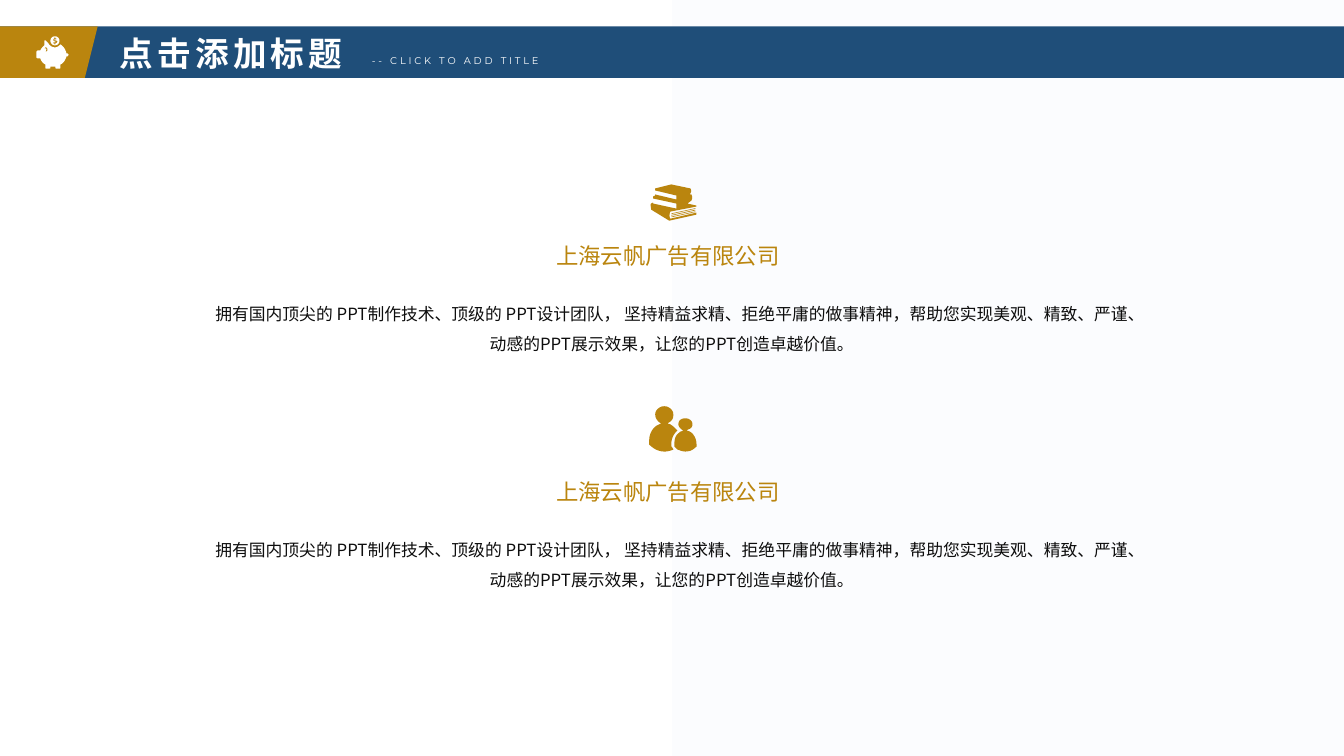
from pptx import Presentation
from pptx.dml.color import RGBColor
from pptx.enum import shapes, text
from pptx.oxml.ns import qn
from pptx.util import Pt

NAVY = RGBColor(0x1F, 0x4E, 0x79)
GOLD = RGBColor(0xBA, 0x85, 0x0E)
WHITE = RGBColor(0xFF, 0xFF, 0xFF)
MIST = RGBColor(0xFB, 0xFC, 0xFE)
INK = RGBColor(0x0D, 0x0D, 0x0D)
CHINESE, LATIN = "Noto Sans CJK SC", "Montserrat"
ICON_UNIT = 0.72  # points per icon grid step
CURVE_STEPS = 6

# Icon outlines: a start point, then corners (x, y) or Bezier curves (six numbers)
PIG = [
    [(67, 53), (66, 53), (65, 49, 63, 46, 60, 44), (58, 46, 57, 47, 54, 47),
     (52, 47, 49, 45, 48, 43), (45, 40), (45, 40, 44, 40, 44, 41), (44, 45),
     (42, 47, 41, 48, 40, 50), (38, 50), (37, 50, 36, 51, 36, 52), (36, 57),
     (36, 57, 37, 58, 38, 58), (40, 58), (41, 61, 43, 63, 45, 64), (45, 67),
     (45, 68, 45, 68, 46, 68), (49, 68), (50, 68, 50, 68, 50, 67), (50, 66),
     (51, 66, 54, 66, 55, 66), (55, 67), (55, 68, 55, 68, 56, 68), (59, 68),
     (60, 68, 60, 68, 60, 67), (60, 64), (63, 63, 65, 59, 66, 56), (67, 56),
     (67, 56, 68, 55, 68, 54), (68, 54, 67, 53, 67, 53)],
    [(45, 51), (44, 51, 44, 51, 44, 50), (44, 50, 44, 51, 45, 51),
     (45, 51, 46, 50, 46, 49), (46, 48, 45, 48, 45, 48), (44, 48), (45, 47),
     (47, 47, 47, 48, 47, 49), (47, 51, 47, 51, 45, 51)],
]
COIN = [
    [(54.5, 36), (52, 36, 50, 38, 50, 40.5), (50, 43, 52, 45, 54.5, 45),
     (57, 45, 59, 43, 59, 40.5), (59, 38, 57, 36, 54.5, 36)],
    [(55, 43), (55, 44), (54, 44), (54, 43), (52.5, 43), (53, 42),
     (53, 42, 54, 42, 54, 42), (55, 42), (55, 41, 55, 41, 54, 41),
     (53, 41, 53, 40, 53, 40), (53, 39, 53, 38, 54, 38), (54, 37), (55, 37),
     (55, 38), (56, 38), (56, 39), (55, 39), (54, 39, 54, 39, 54, 40),
     (54, 40, 54, 40, 55, 40), (56, 40, 57, 41, 57, 41),
     (57, 42, 56, 43, 55, 43)],
]
BOOKS = [
    [(691, 205), (665, 210), (664, 213, 664, 215, 665, 217), (691, 211),
     (691, 213), (664, 219), (646, 208), (646, 206, 645, 203, 646, 202),
     (648, 201), (648, 202), (671, 207), (671, 202), (648, 197), (648, 195),
     (650, 194), (650, 193), (671, 198), (671, 194), (650, 189), (650, 187),
     (666, 183), (685, 187), (686, 189, 686, 190, 685, 192), (684, 193),
     (686, 193), (687, 195, 687, 197, 686, 199), (682, 202), (691, 204)],
] + [
    [(666, y), (666, y + 0.6), (690, y - 4.6), (690, y - 5.2)]
    for y in (215, 213.4, 211.8)
]
ADULT = [
    [(667, 444), (666, 443), (666, 442, 666, 441, 666, 441),
     (666, 435, 668, 431, 672, 427), (670, 425, 667, 422, 665, 421), (662, 420),
     (664, 419), (667, 417, 668, 415, 668, 411), (668, 407, 664, 403, 659, 403),
     (654, 403, 650, 407, 650, 411), (650, 415, 652, 417, 654, 419), (656, 420),
     (654, 421), (648, 423, 644, 430, 644, 437), (644, 438, 644, 440, 644, 441),
     (648, 445, 653, 448, 659, 448), (662, 448, 666, 447, 668, 446),
     (668, 445, 667, 445, 667, 444)],
]
CHILD = [
    [(684, 428), (681, 427), (683, 426), (686, 425, 687, 423, 687, 421),
     (687, 417, 683, 415, 680, 415), (676, 415, 673, 417, 673, 421),
     (673, 423, 675, 425, 676, 426), (678, 427), (676, 428),
     (675, 428, 674, 429, 673, 430), (670, 432, 669, 436, 669, 441),
     (669, 441, 669, 442, 669, 443), (669, 443, 670, 444, 671, 445), (672, 446),
     (675, 447, 677, 448, 680, 448), (685, 448, 688, 446, 691, 443),
     (691, 442, 691, 441, 691, 441), (691, 435, 688, 430, 684, 428)],
]

prs = Presentation()
prs.slide_width, prs.slide_height = Pt(960), Pt(540)
slide = prs.slides.add_slide(prs.slide_layouts[6])


def draw_icon(outlines, color):
    builder = None
    for outline in outlines:
        points = [outline[0]]
        for segment in outline[1:]:
            if len(segment) == 2:
                points.append(segment)
                continue
            (x0, y0), (x1, y1, x2, y2, x3, y3) = points[-1], segment
            for step in range(1, CURVE_STEPS + 1):
                t = step / CURVE_STEPS
                a, b, c, d = (1 - t) ** 3, 3 * t * (1 - t) ** 2, 3 * t * t * (1 - t), t ** 3
                points.append((a * x0 + b * x1 + c * x2 + d * x3,
                               a * y0 + b * y1 + c * y2 + d * y3))
        start, *rest = [(Pt(x * ICON_UNIT), Pt(y * ICON_UNIT)) for x, y in points]
        if builder is None:
            builder = slide.shapes.build_freeform(*start)
        else:
            builder.move_to(*start)
        builder.add_line_segments(rest, close=True)
    icon = builder.convert_to_shape()
    icon.shadow.inherit = False
    icon.fill.solid()
    icon.fill.fore_color.rgb = color
    icon.line.fill.background()


def add_label(wording, left, top, width, height, size, color, face=CHINESE, spacing=0):
    label = slide.shapes.add_textbox(Pt(left), Pt(top), Pt(width), Pt(height))
    frame = label.text_frame
    frame.word_wrap = True
    frame.auto_size = text.MSO_AUTO_SIZE.SHAPE_TO_FIT_TEXT
    paragraph = frame.paragraphs[0]
    run = paragraph.add_run()
    run.text = wording
    # Each run carries its East Asian face and letter spacing
    properties = run._r.get_or_add_rPr()
    properties.set("lang", "zh-CN")
    if spacing:
        properties.set("spc", str(spacing * 100))
    run.font.name = face
    properties.append(properties.makeelement(qn("a:ea"), {"typeface": face}))
    paragraph.font.size = run.font.size = Pt(size)
    run.font.color.rgb = color
    return paragraph


# Background
backdrop = slide.background.fill
backdrop.gradient()
backdrop.gradient_angle = 180
for stop, color in zip(backdrop.gradient_stops, (MIST, WHITE)):
    stop.color.rgb = color

# Title bar
for left, width, color in ((-33.8, 1028.2, NAVY), (-28.8, 98.6, GOLD)):
    band = slide.shapes.add_shape(shapes.MSO_SHAPE.PARALLELOGRAM,
                                  Pt(left), Pt(18.9), Pt(width), Pt(36.8))
    band.shadow.inherit = False
    band.fill.solid()
    band.fill.fore_color.rgb = color
    band.line.fill.background()

title = add_label("点击添加标题", 78.5, 20.2, 211, 36.4, 24, WHITE, spacing=3)
title.runs[0].font.bold = True
add_label("-- CLICK TO ADD TITLE", 258.5, 35.2, 186.5, 15.8, 7, WHITE, LATIN, 2)

# Icons
for outlines, color in ((PIG, WHITE), (COIN, WHITE), (BOOKS, GOLD), (ADULT, GOLD), (CHILD, GOLD)):
    draw_icon(outlines, color)

# Company sections
for top in (169.2, 338.2):
    description = add_label(
        "拥有国内顶尖的 PPT制作技术、顶级的 PPT设计团队， 坚持精益求精、拒绝平庸的做事精神，"
        "帮助您实现美观、精致、严谨、动感的PPT展示效果，让您的PPT创造卓越价值。",
        142.6, top + 36.7, 674.6, 51, 12, INK)
    description.alignment = text.PP_ALIGN.CENTER
    description.line_spacing = 1.5
    add_label("上海云帆广告有限公司", 390.2, top, 215.3, 26.6, 16, GOLD)

prs.save("out.pptx")
